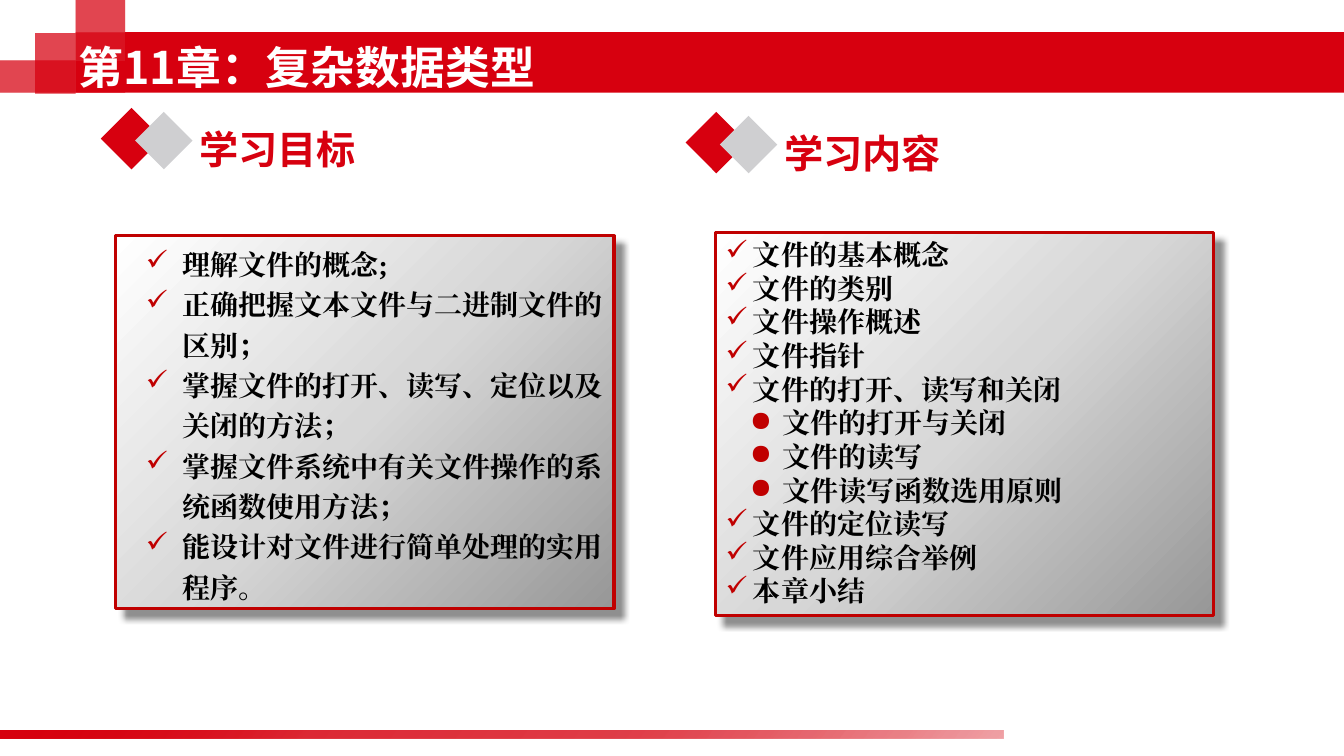
from dataclasses import dataclass

from pptx import Presentation, util as u
from pptx.dml.color import RGBColor
from pptx.enum import shapes, text
from pptx.oxml import parse_xml
from pptx.oxml.ns import nsdecls, qn

RED = RGBColor(0xD7, 0x00, 0x0F)
DARK_RED = RGBColor(0xC0, 0x00, 0x00)
GREY = RGBColor(0xCF, 0xCF, 0xD1)
SILVER = RGBColor(0xD7, 0xD7, 0xD7)
DARK_GREY = RGBColor(0x97, 0x97, 0x97)
WHITE = RGBColor(0xFF, 0xFF, 0xFF)
BLACK = RGBColor(0x00, 0x00, 0x00)
SANS, SERIF = "Noto Sans CJK SC", "Times New Roman"
RECT, DIAMOND = shapes.MSO_SHAPE.RECTANGLE, shapes.MSO_SHAPE.DIAMOND


@dataclass
class Box:
    left: float
    top: float
    width: float
    height: float

    def emu(self) -> list:
        return [u.Inches(v) for v in (self.left, self.top, self.width, self.height)]


@dataclass
class Stop:
    pos: int
    color: RGBColor
    alpha: int = 100


@dataclass
class Bullet:
    char: str
    margin: float
    hang: float
    level: int = 0


@dataclass
class Panel:
    box: Box
    spacing: float
    items: list[tuple[Bullet, str]]


# Content
TITLE = "第11章：复杂数据类型"
CHECK = Bullet("✓", 0.27, 0.27)
DOT = Bullet("●", 0.56, 0.32, 1)
GOAL = Bullet("✓", 0.56, 0.36)

CONTENTS = Panel(Box(7.1, 2.31, 4.94, 3.8), 1.0, [
    (CHECK, "文件的基本概念"),
    (CHECK, "文件的类别"),
    (CHECK, "文件操作概述"),
    (CHECK, "文件指针"),
    (CHECK, "文件的打开、读写和关闭"),
    (DOT, "文件的打开与关闭"),
    (DOT, "文件的读写"),
    (DOT, "文件读写函数选用原则"),
    (CHECK, "文件的定位读写"),
    (CHECK, "文件应用综合举例"),
    (CHECK, "本章小结"),
])
GOALS = Panel(Box(1.15, 2.34, 4.94, 3.7), 1.2, [
    (GOAL, "理解文件的概念;"),
    (GOAL, "正确把握文本文件与二进制文件的区别；"),
    (GOAL, "掌握文件的打开、读写、定位以及关闭的方法；"),
    (GOAL, "掌握文件系统中有关文件操作的系统函数使用方法；"),
    (GOAL, "能设计对文件进行简单处理的实用程序。"),
])

# Banner decoration
BANNER = Box(1.24, 0.32, 12.09, 0.6)
BANNER_END = Box(0.75, 0.6, 0.49, 0.32)
SQUARES = [Box(0, 0.6, 1.24, 0.32), Box(0.35, 0.33, 0.4, 0.6),
           Box(0.75, -0.02, 0.49, 0.62), Box(0.75, 0.32, 0.49, 0.28)]
FOOTER = Box(-0.02, 7.25, 9.97, 0.08)
FOOTER_STOPS = [Stop(0, RED), Stop(31, RED, 60), Stop(64, RED, 50), Stop(100, RED, 20)]
PANEL_STOPS = [Stop(0, DARK_GREY), Stop(50, SILVER), Stop(100, WHITE)]


def add_block(s, kind, box: Box, color: RGBColor, alpha: int = 100):
    sp = s.shapes.add_shape(kind, *box.emu())
    sp.shadow.inherit = False
    sp.line.fill.background()
    sp.fill.solid()
    sp.fill.fore_color.rgb = color
    if alpha < 100:
        clr = sp.fill._xPr.find(qn("a:solidFill"))[0]
        clr.append(parse_xml(f'<a:alpha {nsdecls("a")} val="{alpha * 1000}"/>'))
    return sp


def set_gradient(sp, stops: list[Stop], angle: int) -> None:
    gs = "".join(f'<a:gs pos="{g.pos * 1000}"><a:srgbClr val="{g.color}">'
                 f'<a:alpha val="{g.alpha * 1000}"/></a:srgbClr></a:gs>' for g in stops)
    grad = parse_xml(f'<a:gradFill {nsdecls("a")} rotWithShape="1"><a:gsLst>{gs}</a:gsLst>'
                     f'<a:lin ang="{angle * 60000}" scaled="0"/></a:gradFill>')
    sp_pr = sp._element.spPr
    sp_pr.replace(sp_pr.find(qn("a:solidFill")), grad)


def set_shadow(sp) -> None:
    effects = sp._element.spPr.find(qn("a:effectLst"))
    effects.append(parse_xml(
        f'<a:outerShdw {nsdecls("a")} blurRad="{u.Pt(4)}" dist="{u.Pt(8.4)}" '
        f'dir="{45 * 60000}" algn="tl" rotWithShape="0"><a:srgbClr val="{BLACK}">'
        '<a:alpha val="43000"/></a:srgbClr></a:outerShdw>'))


def set_bullet(p, bullet: Bullet) -> None:
    p.level = bullet.level
    pPr = p._p.get_or_add_pPr()
    pPr.set("marL", str(u.Inches(bullet.margin)))
    pPr.set("indent", str(-u.Inches(bullet.hang)))
    pPr.append(parse_xml(f'<a:buClr {nsdecls("a")}><a:srgbClr val="{DARK_RED}"/></a:buClr>'))
    pPr.append(parse_xml(f'<a:buChar {nsdecls("a")} char="{bullet.char}"/>'))


def format_run(r, size: int, face: str, color: RGBColor) -> None:
    r.font.size = u.Pt(size)
    r.font.bold = True
    r.font.color.rgb = color
    r.font.name = face
    r.font._element.find(qn("a:latin")).addnext(
        parse_xml(f'<a:ea {nsdecls("a")} typeface="{face}"/>'))


def add_label(s, box: Box, words: str, size: int, color: RGBColor):
    tf = s.shapes.add_textbox(*box.emu()).text_frame
    tf.word_wrap = True
    tf.text = words
    format_run(tf.paragraphs[0].runs[0], size, SANS, color)
    return tf


def add_heading(s, left: float, top: float, words: str) -> None:
    add_block(s, DIAMOND, Box(left, top, 0.61, 0.61), RED)
    add_block(s, DIAMOND, Box(left + 0.34, top + 0.04, 0.57, 0.57), GREY)
    tf = add_label(s, Box(left + 0.88, top + 0.12, 2.69, 0.57), words, 28, RED)
    tf.auto_size = text.MSO_AUTO_SIZE.SHAPE_TO_FIT_TEXT


def add_panel(s, panel: Panel) -> None:
    sp = add_block(s, RECT, panel.box, WHITE)
    set_gradient(sp, PANEL_STOPS, 225)
    set_shadow(sp)
    sp.line.color.rgb = DARK_RED
    sp.line.width = u.Pt(2.25)
    tf = sp.text_frame
    tf.word_wrap = True
    tf.auto_size = text.MSO_AUTO_SIZE.SHAPE_TO_FIT_TEXT
    tf.vertical_anchor = text.MSO_ANCHOR.TOP
    tf.text = "\n".join(words for _, words in panel.items)
    for p, (bullet, _) in zip(tf.paragraphs, panel.items):
        set_bullet(p, bullet)
        p.alignment = text.PP_ALIGN.LEFT
        p.line_spacing = panel.spacing
        format_run(p.runs[0], 20, SERIF, BLACK)


def add_decoration(s) -> None:
    # Two translucent layers deepen the squares and the footer bar
    for layer in range(2):
        for square in SQUARES:
            add_block(s, RECT, square, RED, 48)
        set_gradient(add_block(s, RECT, FOOTER, RED), FOOTER_STOPS, 40)
        add_block(s, RECT, (BANNER, BANNER_END)[layer], RED)


def main() -> None:
    prs = Presentation()
    prs.slide_width, prs.slide_height = u.Inches(13.33), u.Inches(7.5)
    s = prs.slides.add_slide(prs.slide_layouts[6])
    add_decoration(s)
    add_heading(s, 1, 1.07, "学习目标")
    tf = add_label(s, Box(0.68, 0.33, 8.9, 0.67), TITLE, 32, WHITE)
    tf.vertical_anchor = text.MSO_ANCHOR.MIDDLE
    add_panel(s, CONTENTS)
    add_panel(s, GOALS)
    add_heading(s, 6.8, 1.11, "学习内容")
    prs.save("out.pptx")


if __name__ == "__main__":
    main()
